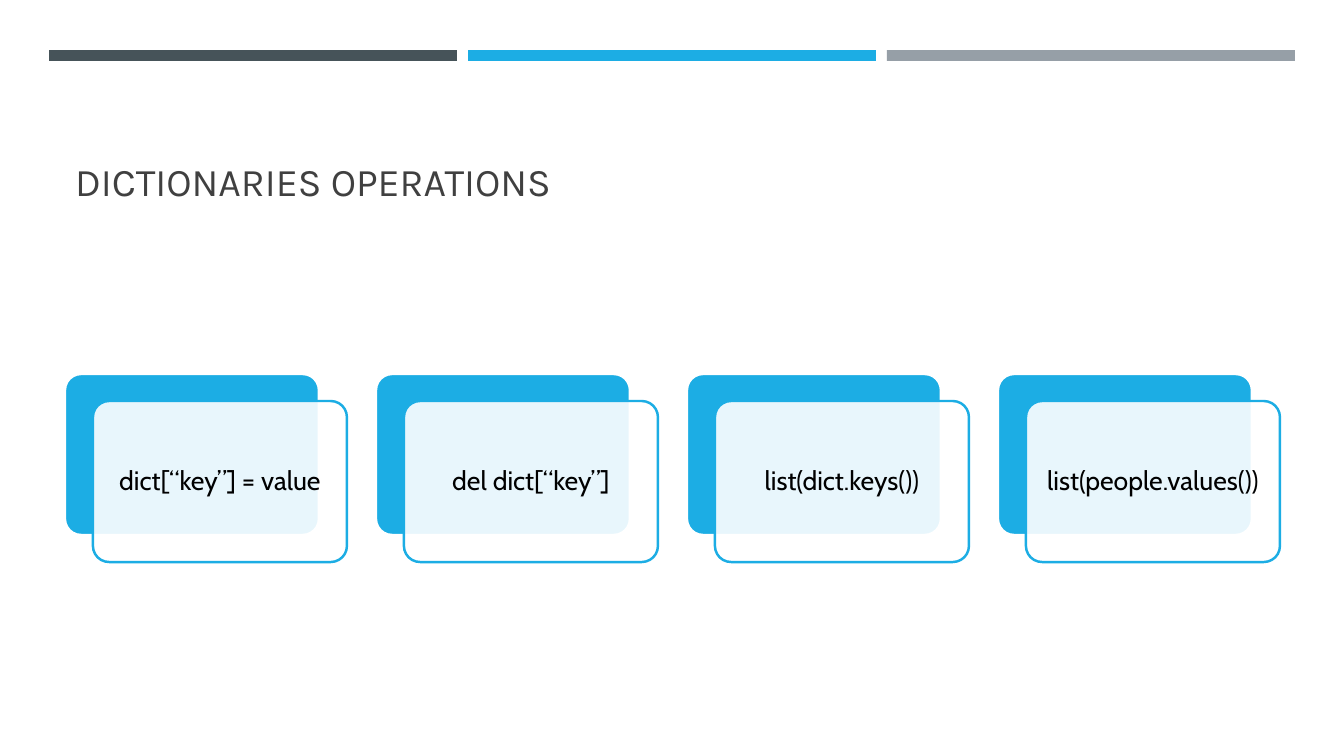
from lxml import etree
from pptx import Presentation
from pptx.dml.color import RGBColor
from pptx.enum.shapes import MSO_SHAPE as SHAPE
from pptx.enum.text import MSO_ANCHOR as ANCHOR, PP_ALIGN as ALIGN
from pptx.oxml.ns import qn
from pptx.util import Emu, Pt

EMU_PER_PX = 914400 / 100.8
BLUE = "1CADE4"
WHITE = "FFFFFF"
BAR_COLORS = ["465359", BLUE, "969FA7"]
OPERATIONS = [
    "dict[“key”] = value",
    "del dict[“key”]",
    "list(dict.keys())",
    "list(people.values())",
]


def px(n):
    return Emu(round(n * EMU_PER_PX))


def rgb(color):
    return RGBColor.from_string(color)


def add_run(p, text, font, size, color):
    r = p.add_run()
    r.text = text
    r.font.name = font
    r.font.size = Pt(size)
    r.font.color.rgb = rgb(color)


def add_box(slide, kind, x, y, w, h, fill, line=None):
    sp = slide.shapes.add_shape(kind, px(x), px(y), px(w), px(h))
    sp.shadow.inherit = False
    sp.fill.solid()
    sp.fill.fore_color.rgb = rgb(fill)
    if line:
        sp.line.color.rgb = rgb(line)
        sp.line.width = Pt(1.75)
    else:
        sp.line.fill.background()
    return sp


def set_opacity(sp, percent):
    color = sp.fill._xPr.find(qn("a:solidFill"))[0]
    etree.SubElement(color, qn("a:alpha"), val=str(percent * 1000))


def add_title(slide, text):
    sp = slide.shapes.title
    sp.left, sp.top, sp.width, sp.height = px(65), px(78), px(1216), px(131)
    tf = sp.text_frame
    tf.vertical_anchor = ANCHOR.BOTTOM
    p = tf.paragraphs[0]
    p.alignment = ALIGN.LEFT
    add_run(p, text, "Karla", 28, "404040")


def add_card(slide, x, y, text):
    """Draw a blue card with a translucent captioned card offset in front."""
    w, h = 254, 161
    back = add_box(slide, SHAPE.ROUNDED_RECTANGLE, x, y, w, h, BLUE, WHITE)
    front = add_box(slide, SHAPE.ROUNDED_RECTANGLE, x + 28, y + 27, w, h, WHITE, BLUE)
    for sp in (back, front):
        sp.adjustments[0] = 0.1
    set_opacity(front, 90)

    tf = front.text_frame
    tf.word_wrap = True
    tf.vertical_anchor = ANCHOR.MIDDLE
    tf.margin_left = tf.margin_right = tf.margin_top = tf.margin_bottom = px(8)
    p = tf.paragraphs[0]
    p.alignment = ALIGN.CENTER
    p.line_spacing = 0.9
    add_run(p, text, "Cabin", 19, "000000")


def main():
    prs = Presentation()
    prs.slide_width, prs.slide_height = px(1344), px(756)
    slide = prs.slides.add_slide(prs.slide_layouts[5])

    for i, color in enumerate(BAR_COLORS):
        add_box(slide, SHAPE.RECTANGLE, 49 + 419 * i, 50, 408, 11, color)
    add_title(slide, "DICTIONARIES OPERATIONS")
    for i, text in enumerate(OPERATIONS):
        add_card(slide, 65 + 311 * i, 374, text)

    prs.save("out.pptx")


if __name__ == "__main__":
    main()
